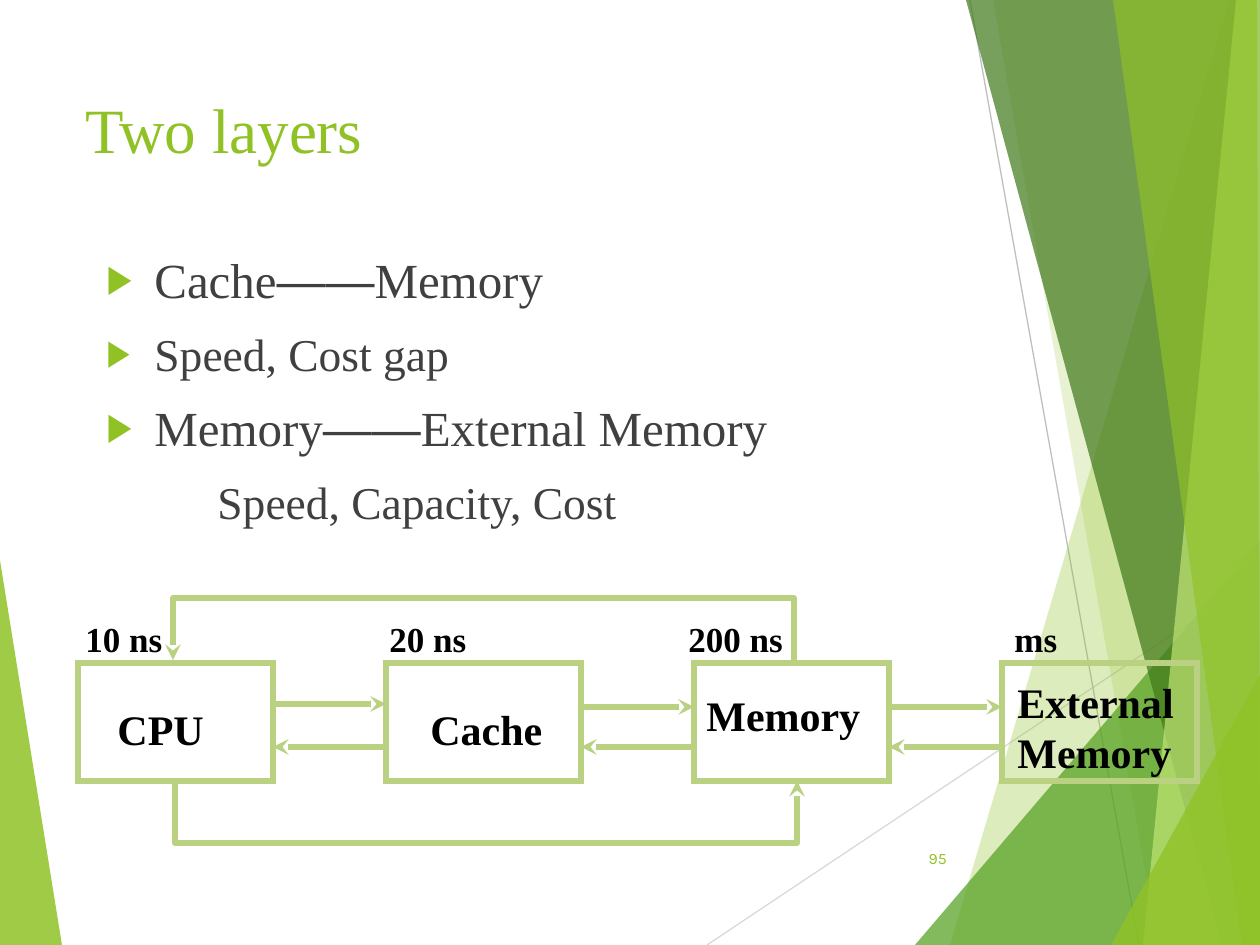
from lxml import etree
from pptx import Presentation
from pptx.dml.color import RGBColor
from pptx.enum.shapes import MSO_CONNECTOR, MSO_SHAPE
from pptx.enum.text import MSO_ANCHOR, PP_ALIGN
from pptx.oxml.ns import qn
from pptx.util import Emu, Pt

PX = 914400 / 126
WIDTH, HEIGHT = 1260, 945
SERIF = "Times New Roman"
GREEN, BODY, BLACK, DIAGRAM = "90C226", "404040", "000000", "B9D181"

# Background: facets as (colour, opacity %, corners), rays as (colour, ends)
LEFT_FACET = (GREEN, 85, [(0, 560), (62, 945), (0, 945)])
RAYS = [("D9D9D9", (707, 945), (1260, 576)), ("BFBFBF", (970, 0), (1139, 945))]
RIGHT_FACETS = [
    (GREEN, 30, [(1229, 0), (950, 945), (1260, 945), (1260, 0)]),
    (GREEN, 20, [(993, 0), (1158, 945), (1260, 945), (1260, 0)]),
    ("54A021", 72, [(915, 945), (1260, 541), (1260, 945)]),
    ("3F7819", 70, [(966, 0), (1222, 945), (1260, 945), (1260, 0)]),
    ("C0E474", 70, [(1236, 0), (1143, 945), (1260, 945), (1260, 0)]),
    (GREEN, 65, [(1113, 0), (1242, 945), (1260, 945), (1257, 0)]),
    (GREEN, 80, [(1111, 945), (1260, 675), (1260, 945)]),
]

# Text: (pieces, size, bulleted); a dash piece is set in Arial
DASH = "——"
POINTS = [
    (["Cache", DASH, "Memory"], 28, True),
    (["Speed, Cost gap"], 26, True),
    (["Memory", DASH, "External Memory"], 28, True),
    (["Speed, Capacity, Cost"], 26, False),
]

# Diagram: (name, name box, access time, time box), boxes as left, top, width, height
BOX_LEFT, BOX_TOP, BOX_W, BOX_H, BOX_STEP = 78, 663, 195, 118, 308
LEVELS = [
    ("CPU", (105, 697, 169, 63), "10 ns", (73, 611, 102, 54)),
    ("Cache", (418, 697, 165, 64), "20 ns", (377, 611, 102, 54)),
    ("Memory", (694, 683, 193, 64), "200 ns", (676, 611, 120, 54)),
    ("External Memory", (1005, 670, 194, 115), "ms", (1002, 611, 68, 54)),
]
FORWARD_Y, BACK_Y = [704, 707, 707], 747
LOOPS = [
    [(175, 781), (175, 843), (797, 843), (797, 781)],
    [(794, 660), (794, 598), (173, 598), (173, 660)],
]


def px(value):
    return Emu(round(value * PX))


def rgb(code):
    return RGBColor.from_string(code)


def add_xml(parent, tag, **attributes):
    return etree.SubElement(parent, qn(tag), attributes)


def outline(shape, color, width, join="a:round", arrow=False):
    shape.line.color.rgb = rgb(color)
    shape.line.width = Pt(width)
    ln = shape.line._get_or_add_ln()
    add_xml(ln, join)
    if arrow:
        add_xml(ln, "a:tailEnd", type="stealth")


def add_path(corners, close):
    start, *rest = [(px(x), px(y)) for x, y in corners]
    builder = slide.shapes.build_freeform(*start)
    builder.add_line_segments(rest, close=close)
    shape = builder.convert_to_shape()
    shape.shadow.inherit = False
    return shape


def add_facet(color, opacity, corners):
    facet = add_path(corners, True)
    facet.fill.solid()
    facet.fill.fore_color.rgb = rgb(color)
    tint = facet._element.spPr.find(qn("a:solidFill"))[0]
    add_xml(tint, "a:alpha", val=str(opacity * 1000))
    facet.line.fill.background()


def add_line(start, end, color, width, arrow=False):
    ends = [px(v) for v in (*start, *end)]
    line = slide.shapes.add_connector(MSO_CONNECTOR.STRAIGHT, *ends)
    outline(line, color, width, arrow=arrow)
    add_xml(line._element.spPr, "a:effectLst")


def set_font(paragraph, size, color, name=SERIF, bold=False):
    font = paragraph.font
    font.size, font.name, font.bold = Pt(size), name, bold
    font.color.rgb = rgb(color)


def add_frame(box, wrap=True):
    frame = slide.shapes.add_textbox(*map(px, box)).text_frame
    frame.word_wrap = wrap
    return frame


def add_label(text, box, size, color, name=SERIF, bold=False, wrap=True):
    frame = add_frame(box, wrap)
    frame.text = text
    set_font(frame.paragraphs[0], size, color, name, bold)
    return frame


def add_bullet(pPr):
    add_xml(add_xml(pPr, "a:buClr"), "a:srgbClr", val=GREEN)
    add_xml(pPr, "a:buSzPct", val="80000")
    add_xml(pPr, "a:buFont", typeface="Arial")
    add_xml(pPr, "a:buChar", char="▶")


prs = Presentation()
prs.slide_width, prs.slide_height = px(WIDTH), px(HEIGHT)
slide = prs.slides.add_slide(prs.slide_layouts[6])

# Background
add_facet(*LEFT_FACET)
for color, start, end in RAYS:
    add_line(start, end, color, 0.75)
for facet in RIGHT_FACETS:
    add_facet(*facet)

# Page number and title
page = add_label("95", (888, 833, 71, 50), 9, GREEN, "Karla")
page.vertical_anchor = MSO_ANCHOR.MIDDLE
page.paragraphs[0].alignment = PP_ALIGN.RIGHT
add_label("Two layers", (73, 84, 882, 116), 36, GREEN)

# Points
points = add_frame((94, 243, 1129, 649))
for i, (pieces, size, bulleted) in enumerate(POINTS):
    point = points.add_paragraph() if i else points.paragraphs[0]
    if i:
        point.space_before = Pt(10)
    pPr = point._p.get_or_add_pPr()
    pPr.set("marL", str(px(48 if bulleted else 111)))
    if bulleted:
        pPr.set("indent", str(-px(48)))
        add_bullet(pPr)
    set_font(point, size, BODY)
    for piece in pieces:
        run = point.add_run()
        run.text = piece
        if piece == DASH:
            run.font.name = "Arial"

# Memory levels with their access times
for i, (name, name_box, time, time_box) in enumerate(LEVELS):
    add_label(name, name_box, 24, BLACK, bold=True)
    box = (BOX_LEFT + i * BOX_STEP, BOX_TOP, BOX_W, BOX_H)
    level = slide.shapes.add_shape(MSO_SHAPE.RECTANGLE, *map(px, box))
    level.shadow.inherit = False
    level.fill.background()
    outline(level, DIAGRAM, 3, "a:miter")
    add_label(time, time_box, 20, BLACK, bold=True, wrap=False)

# Arrows between neighbours, then the loops between CPU and memory
for i, forward_y in enumerate(FORWARD_Y):
    right = BOX_LEFT + i * BOX_STEP + BOX_W
    following = BOX_LEFT + (i + 1) * BOX_STEP
    add_line((right, forward_y), (following, forward_y), DIAGRAM, 3, True)
    add_line((following, BACK_Y), (right, BACK_Y), DIAGRAM, 3, True)
for corners in LOOPS:
    loop = add_path(corners, False)
    loop.fill.background()
    outline(loop, DIAGRAM, 3, arrow=True)

prs.save("out.pptx")
